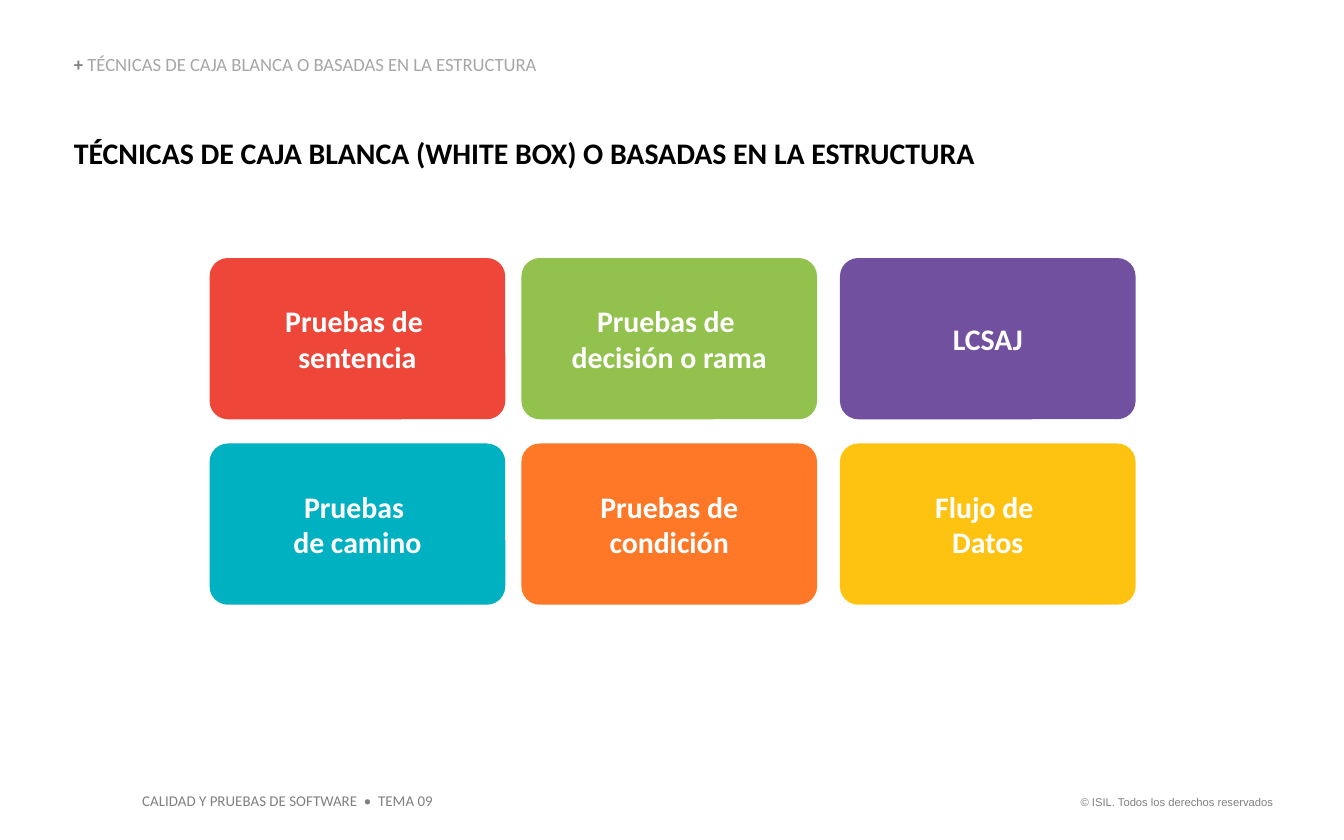
from pptx import Presentation, util as u
from pptx.dml.color import RGBColor
from pptx.enum import shapes, text

BLACK = RGBColor(0x00, 0x00, 0x00)
WHITE = RGBColor(0xFF, 0xFF, 0xFF)
GREY = RGBColor(0x80, 0x80, 0x80)
LIGHT_GREY = RGBColor(0xA6, 0xA6, 0xA6)
RED = RGBColor(0xEE, 0x46, 0x39)
GREEN = RGBColor(0x92, 0xC1, 0x4E)
PURPLE = RGBColor(0x71, 0x50, 0xA0)
TEAL = RGBColor(0x00, 0xB1, 0xC2)
ORANGE = RGBColor(0xFE, 0x78, 0x28)
YELLOW = RGBColor(0xFE, 0xC2, 0x11)

# Rows of cards; \v breaks a line, \n starts a paragraph
CARDS = [
    [("Pruebas de \vsentencia", RED),
     ("Pruebas de \vdecisión o rama", GREEN),
     ("LCSAJ", PURPLE)],
    [("Pruebas \vde camino", TEAL),
     ("Pruebas de condición", ORANGE),
     ("Flujo de \nDatos", YELLOW)],
]
CARD_WIDTH, CARD_HEIGHT = 2.2, 1.2
COLUMN_OFFSETS = (0, 2.32, 4.69)
ROW_PITCH = 1.38


def style(span, size, color, bold=False, name="Calibri"):
    span.font.name = name
    span.font.size = u.Pt(size)
    span.font.bold = bold
    span.font.color.rgb = color


def add_text(page, area, spans, wrap=True, inset=True):
    """Add a one-paragraph box; spans are (words, style arguments...)."""
    box = page.shapes.add_textbox(*map(u.Inches, area))
    frame = box.text_frame
    frame.word_wrap = wrap
    if not inset:
        frame.margin_left = frame.margin_right = 0
        frame.margin_top = frame.margin_bottom = 0
    para = frame.paragraphs[0]
    for words, *look in spans:
        span = para.add_run()
        span.text = words
        style(span, *look)
    return box


def add_heading(page, left, top):
    trail = add_text(page, (left, top, 3.61, 0.15), [
        ("+ ", 10, GREY, True),
        ("TÉCNICAS DE CAJA BLANCA O BASADAS EN LA ESTRUCTURA", 10, LIGHT_GREY),
    ], inset=False)
    trail.text_frame.vertical_anchor = text.MSO_ANCHOR.BOTTOM
    trail.text_frame.paragraphs[0].line_spacing = 0.9
    add_text(page, (left, top + 0.59, 8.9, 0.27), [
        ("TÉCNICAS DE CAJA BLANCA (WHITE BOX) O BASADAS EN LA ESTRUCTURA",
         16, BLACK, True),
    ], inset=False)


def add_card(page, left, top, words, color):
    card = page.shapes.add_shape(
        shapes.MSO_SHAPE.ROUNDED_RECTANGLE,
        *map(u.Inches, (left, top, CARD_WIDTH, CARD_HEIGHT)))
    card.adjustments[0] = 0.114
    card.shadow.inherit = False
    card.fill.solid()
    card.fill.fore_color.rgb = color
    card.line.fill.background()
    frame = card.text_frame
    frame.word_wrap = True
    frame.vertical_anchor = text.MSO_ANCHOR.MIDDLE
    frame.text = words
    for para in frame.paragraphs:
        para.alignment = text.PP_ALIGN.CENTER
        for span in para.runs:
            style(span, 16, WHITE, True)


def add_card_grid(page, left, top):
    for row, cards in enumerate(CARDS):
        for offset, (words, color) in zip(COLUMN_OFFSETS, cards):
            add_card(page, left + offset, top + row * ROW_PITCH, words, color)


def add_footer(page, top):
    add_text(page, (0.96, top, 2.37, 0.24),
             [("CALIDAD Y PRUEBAS DE SOFTWARE  •  TEMA 09", 8, GREY)], wrap=False)
    rights = add_text(page, (7.88, top + 0.03, 1.69, 0.2),
                      [("© ISIL. Todos los derechos reservados",
                        6, GREY, False, "Arial")], wrap=False)
    rights.text_frame.paragraphs[0].alignment = text.PP_ALIGN.RIGHT


def main():
    deck = Presentation()
    deck.slide_width, deck.slide_height = u.Inches(10), u.Inches(6.25)
    page = deck.slides.add_slide(deck.slide_layouts[6])
    add_footer(page, 5.84)
    add_heading(page, 0.55, 0.41)
    add_card_grid(page, 1.56, 1.92)
    deck.save("out.pptx")


if __name__ == "__main__":
    main()
